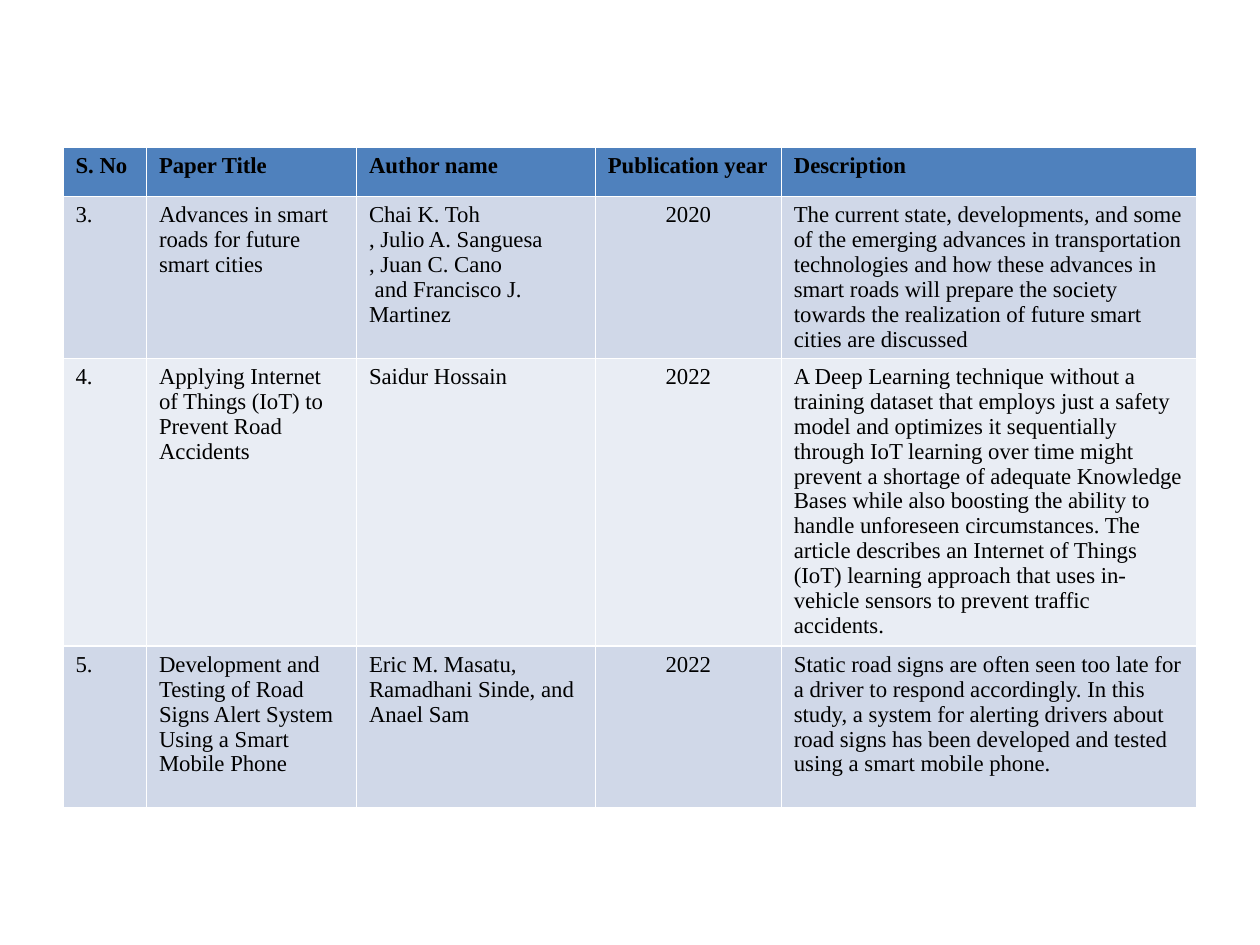
from pptx import Presentation
from pptx.dml.color import RGBColor
from pptx.enum.text import PP_ALIGN as Align
from pptx.util import Pt

HEADINGS = ["S. No", "Paper Title", "Author name", "Publication year", "Description"]
PAPERS = [
    ("3.", "Advances in smart roads for future smart cities",
     "Chai K. Toh\n, Julio A. Sanguesa\n, Juan C. Cano\n and Francisco J. Martinez",
     "2020",
     "The current state, developments, and some of the emerging advances in transportation "
     "technologies and how these advances in smart roads will prepare the society towards "
     "the realization of future smart cities are discussed"),
    ("4.", "Applying Internet of Things (IoT) to Prevent Road Accidents",
     "Saidur Hossain",
     "2022",
     "A Deep Learning technique without a training dataset that employs just a safety model "
     "and optimizes it sequentially through IoT learning over time might prevent a shortage "
     "of adequate Knowledge Bases while also boosting the ability to handle unforeseen "
     "circumstances. The article describes an Internet of Things (IoT) learning approach "
     "that uses in-vehicle sensors to prevent traffic accidents."),
    ("5.", "Development and Testing of Road Signs Alert System Using a Smart Mobile Phone",
     "Eric M. Masatu, Ramadhani Sinde, and Anael Sam",
     "2022",
     "Static road signs are often seen too late for a driver to respond accordingly. In this "
     "study, a system for alerting drivers about road signs has been developed and tested "
     "using a smart mobile phone."),
]
COLUMN_WIDTHS = [47.7, 120, 136.5, 106.3, 237.5]
ROW_HEIGHTS = [28.3, 92.5, 164.5, 92.5]
LEFT, TOP = 36, 84
HEADER_FILL, BAND_FILLS = "4F81BD", ["D0D8E8", "E9EDF4"]
YEAR_COLUMN = HEADINGS.index("Publication year")


def color(hex_code):
    return RGBColor.from_string(hex_code)


def write(cell, text, fill, bold=False, align=Align.LEFT, size=13, font="Times New Roman"):
    cell.fill.solid()
    cell.fill.fore_color.rgb = color(fill)
    cell.text_frame.text = text
    for paragraph in cell.text_frame.paragraphs:
        paragraph.alignment = align
        paragraph.line_spacing = Pt(14.2)
        for run in paragraph.runs:
            run.font.name, run.font.size, run.font.bold = font, Pt(size), bold
            run.font.color.rgb = color("000000")


def main():
    """Build the slide with the literature survey table."""
    deck = Presentation()
    deck.slide_width, deck.slide_height = Pt(720), Pt(540)
    slide = deck.slides.add_slide(deck.slide_layouts[6])
    survey = slide.shapes.add_table(
        len(ROW_HEIGHTS), len(COLUMN_WIDTHS), Pt(LEFT), Pt(TOP),
        Pt(sum(COLUMN_WIDTHS)), Pt(sum(ROW_HEIGHTS))).table
    for column, width in zip(survey.columns, COLUMN_WIDTHS):
        column.width = Pt(width)
    for row, height in zip(survey.rows, ROW_HEIGHTS):
        row.height = Pt(height)

    for c, heading in enumerate(HEADINGS):
        write(survey.cell(0, c), heading, HEADER_FILL, bold=True)
    for r, paper in enumerate(PAPERS):
        for c, entry in enumerate(paper):
            write(survey.cell(r + 1, c), entry, BAND_FILLS[r % 2],
                  align=Align.CENTER if c == YEAR_COLUMN else Align.LEFT)
    deck.save("out.pptx")


if __name__ == "__main__":
    main()
